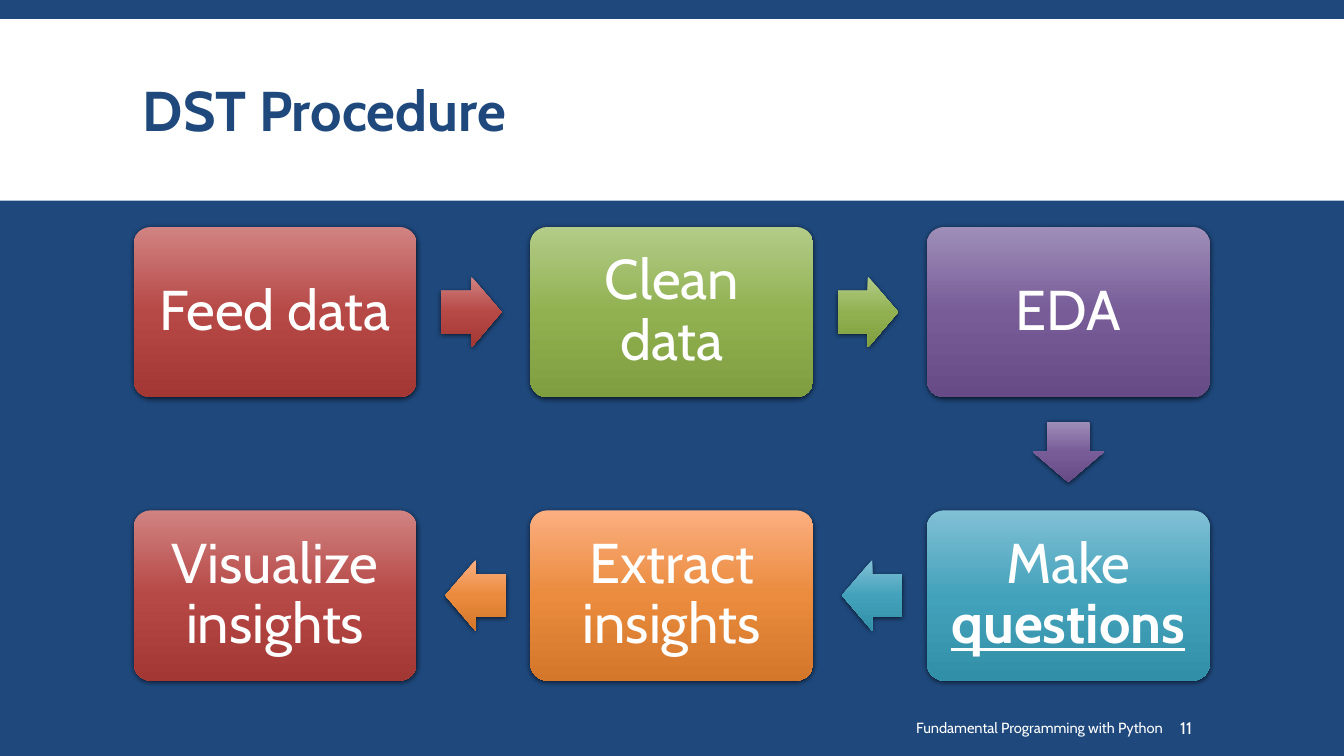
from dataclasses import dataclass

from lxml import etree
from pptx import Presentation
from pptx.dml.color import RGBColor
from pptx.enum.shapes import MSO_SHAPE
from pptx.enum.text import MSO_ANCHOR, PP_ALIGN
from pptx.oxml.ns import qn
from pptx.util import Cm, Pt

RECTANGLE, ROUNDED = MSO_SHAPE.RECTANGLE, MSO_SHAPE.ROUNDED_RECTANGLE
RIGHT_ARROW, LEFT_ARROW, DOWN_ARROW = (
    MSO_SHAPE.RIGHT_ARROW, MSO_SHAPE.LEFT_ARROW, MSO_SHAPE.DOWN_ARROW)
MIDDLE = MSO_ANCHOR.MIDDLE
LEFT, CENTER, RIGHT = PP_ALIGN.LEFT, PP_ALIGN.CENTER, PP_ALIGN.RIGHT


@dataclass(frozen=True)
class Theme:
    font: str = "Cabin"
    navy: str = "1F497D"
    white: str = "FFFFFF"
    red: tuple = ("D08382", "B64845", "A33734")
    green: tuple = ("B3CC88", "91B151", "7F9E3F")
    purple: tuple = ("9F8EB8", "775C98", "664B87")
    teal: tuple = ("81C0D5", "43A2BB", "328FA8")
    orange: tuple = ("FCAF81", "EA8B3D", "D4772A")
    large: float = 40
    footer: float = 10.5
    page_number: float = 12


THEME = Theme()

# column, row, (text, emphasised) runs, gradient, arrow to the next step
STEPS = [
    (0, 0, [("Feed data", False)], THEME.red, RIGHT_ARROW),
    (1, 0, [("Clean data", False)], THEME.green, RIGHT_ARROW),
    (2, 0, [("EDA", False)], THEME.purple, DOWN_ARROW),
    (2, 1, [("Make ", False), ("questions", True)], THEME.teal, LEFT_ARROW),
    (1, 1, [("Extract insights", False)], THEME.orange, LEFT_ARROW),
    (0, 1, [("Visualize insights", False)], THEME.red, None),
]


def write_runs(shape, runs, size, color, align=LEFT, line_spacing=1.0):
    """Fill a shape with one paragraph of (text, emphasised) runs."""
    frame = shape.text_frame
    frame.word_wrap = True
    frame.vertical_anchor = MIDDLE
    paragraph = frame.paragraphs[0]
    paragraph.alignment = align
    paragraph.line_spacing = line_spacing
    for text, emphasised in runs:
        run = paragraph.add_run()
        run.text = text
        run.font.name = THEME.font
        run.font.size = Pt(size)
        run.font.color.rgb = RGBColor.from_string(color)
        if emphasised:
            run.font.bold = run.font.underline = True
    return paragraph


def add_text(slide, box, text, size, color, **layout):
    shape = slide.shapes.add_textbox(*map(Cm, box))
    write_runs(shape, [(text, False)], size, color, **layout)
    return shape


def fill_gradient(shape, colors):
    """Run three colours evenly from top to bottom."""
    shape.fill.gradient()
    shape.fill.gradient_angle = 270
    stops = shape._element.spPr.find(".//" + qn("a:gsLst"))
    for stop in list(stops):
        stops.remove(stop)
    for position, color in zip((0, 50000, 100000), colors):
        stop = etree.SubElement(stops, qn("a:gs"), pos=str(position))
        etree.SubElement(stop, qn("a:srgbClr"), val=color)


def add_shadow(shape):
    effects = etree.SubElement(shape._element.spPr, qn("a:effectLst"))
    shadow = etree.SubElement(
        effects, qn("a:outerShdw"), blurRad=str(Pt(4)), dist=str(Pt(1.2)),
        dir="5400000", algn="ctr", rotWithShape="0")
    color = etree.SubElement(shadow, qn("a:srgbClr"), val="000000")
    etree.SubElement(color, qn("a:alpha"), val="68000")


def add_glossy_shape(slide, kind, box, colors, adjustments):
    shape = slide.shapes.add_shape(kind, *map(Cm, box))
    for index, value in enumerate(adjustments):
        shape.adjustments[index] = value
    fill_gradient(shape, colors)
    shape.line.fill.background()
    add_shadow(shape)
    return shape


def add_step(slide, box, runs, colors):
    shape = add_glossy_shape(slide, ROUNDED, box, colors, [0.1])
    frame = shape.text_frame
    frame.margin_left = frame.margin_right = Cm(0.42)
    frame.margin_top = frame.margin_bottom = Cm(0.42)
    write_runs(shape, runs, THEME.large, THEME.white, CENTER, 0.9)


def add_step_arrow(slide, box, kind, colors):
    """Place an arrow just outside the side of the box it leaves."""
    left, top, width, height = box
    length, breadth, gap = 1.52, 1.78, 0.62
    across = top + (height - breadth) / 2
    places = {
        RIGHT_ARROW: (left + width + gap, across, length, breadth),
        LEFT_ARROW: (left - gap - length, across, length, breadth),
        DOWN_ARROW: (left + (width - breadth) / 2, top + height + gap,
                     breadth, length),
    }
    add_glossy_shape(slide, kind, places[kind], colors, [0.6, 0.5])


def add_process(slide, box):
    left, top, width, height = box
    step_width, step_height = 7.13, 4.29
    column_pitch = (width - step_width) / 2
    row_pitch = height - step_height
    for column, row, runs, colors, arrow in STEPS:
        step_box = (left + column * column_pitch, top + row * row_pitch,
                    step_width, step_height)
        add_step(slide, step_box, runs, colors)
        if arrow is not None:
            add_step_arrow(slide, step_box, arrow, colors)


def add_header(slide, box):
    left, top, width, height = box
    band = slide.shapes.add_shape(RECTANGLE, *map(Cm, box))
    band.shadow.inherit = False
    band.fill.solid()
    band.fill.fore_color.rgb = RGBColor.from_string(THEME.white)
    band.line.fill.background()
    title = add_text(slide, (left + 3.35, top + 0.3, 27.18, height - 0.38),
                     "DST Procedure", THEME.large, THEME.navy,
                     line_spacing=0.85)
    title.text_frame.paragraphs[0].runs[0].font.bold = True


def add_footer(slide, box):
    left, top, width, height = box
    number_width = 2.62
    add_text(slide, (left, top, width - number_width - 0.05, height),
             "Fundamental Programming with Python", THEME.footer,
             THEME.white, align=RIGHT)
    number = add_text(
        slide, (left + width - number_width, top, number_width, height),
        "11", THEME.page_number, THEME.white)
    number.text_frame.margin_left = Cm(0.13)


def main():
    presentation = Presentation()
    presentation.slide_width = Cm(33.87)
    presentation.slide_height = Cm(19.05)
    slide = presentation.slides.add_slide(presentation.slide_layouts[6])
    slide.background.fill.solid()
    slide.background.fill.fore_color.rgb = RGBColor.from_string(THEME.navy)
    add_header(slide, (0, 0.48, 33.87, 4.58))
    add_process(slide, (3.37, 5.72, 27.12, 11.43))
    add_footer(slide, (15.54, 17.83, 16.69, 1.02))
    presentation.save("out.pptx")


if __name__ == "__main__":
    main()
